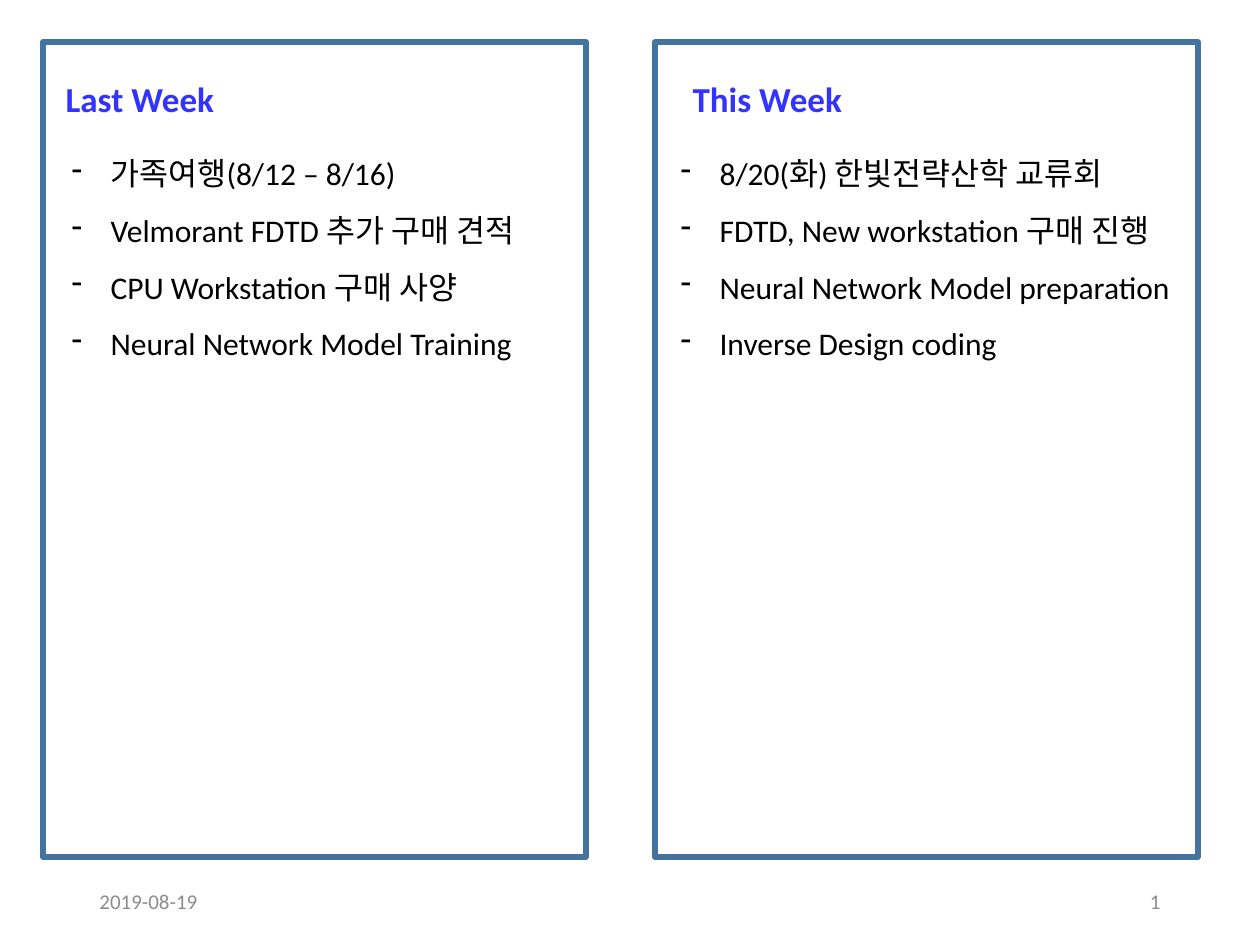
"""Build the weekly report slide with last week's and this week's work side by side."""
from lxml import etree
from pptx import Presentation
from pptx.dml.color import RGBColor
from pptx.enum.shapes import MSO_SHAPE
from pptx.enum.text import MSO_ANCHOR, MSO_AUTO_SIZE, PP_ALIGN
from pptx.oxml.ns import qn
from pptx.util import Emu, Pt

RECTANGLE = MSO_SHAPE.RECTANGLE
TOP, MIDDLE = MSO_ANCHOR.TOP, MSO_ANCHOR.MIDDLE
LEFT, RIGHT = PP_ALIGN.LEFT, PP_ALIGN.RIGHT
NO_AUTOFIT = MSO_AUTO_SIZE.NONE

EMU_PER_PX = 914400 / 126
FONT = "Calibri"
COLORS = {"heading": "3333FF", "body": "000000", "footer": "8C8C8C", "frame": "43739E"}
COMPARISON_LAYOUT = 4
INDENT = 39

LAST_WEEK = [
    "가족여행(8/12 – 8/16)",
    "Velmorant FDTD 추가 구매 견적",
    "CPU Workstation 구매 사양",
    "Neural Network Model Training",
]
THIS_WEEK = [
    "8/20(화) 한빛전략산학 교류회",
    "FDTD, New workstation 구매 진행",
    "Neural Network Model preparation",
    "Inverse Design coding",
]


def px(length):
    """Turn a length in px into EMU."""
    return Emu(round(length * EMU_PER_PX))


def place(shape, left, top, width, height):
    """Move and size a shape, in px."""
    shape.left, shape.top = px(left), px(top)
    shape.width, shape.height = px(width), px(height)


def add_dash(paragraph):
    """Give a paragraph a hanging dash bullet."""
    properties = paragraph._p.get_or_add_pPr()
    properties.set("marL", str(px(INDENT)))
    properties.set("indent", str(-px(INDENT)))
    etree.SubElement(properties, qn("a:buFontTx"))
    etree.SubElement(properties, qn("a:buChar")).set("char", "-")


def write_text(shape, lines, *, size, color, bold=False, align=LEFT,
               anchor=TOP, spacing=1.0, dashed=False):
    """Fill a shape with formatted paragraphs."""
    frame = shape.text_frame
    frame.word_wrap = True
    frame.auto_size = NO_AUTOFIT
    frame.vertical_anchor = anchor
    frame.text = "\n".join(lines)
    for paragraph in frame.paragraphs:
        paragraph.alignment = align
        paragraph.line_spacing = spacing
        paragraph.space_before = Pt(0)
        if dashed:
            add_dash(paragraph)
        for run in paragraph.runs:
            run.font.name = FONT
            run.font.size = Pt(size)
            run.font.bold = bold
            run.font.color.rgb = RGBColor.from_string(COLORS[color])


def add_heading(placeholder, text, left):
    """Set the heading of one week."""
    place(placeholder, left, 71, 176, 55)
    write_text(placeholder, [text], size=20, color="heading", bold=True)


def add_list(placeholder, items, left, width):
    """Set the dashed list of one week."""
    place(placeholder, left, 129, width, 242)
    write_text(placeholder, items, size=18, color="body", spacing=1.5, dashed=True)


def add_frame(slide, left):
    """Draw the outline around one week."""
    shape = slide.shapes.add_shape(RECTANGLE, px(left), px(42), px(543), px(815))
    shape.shadow.inherit = False
    shape.fill.background()
    shape.line.color.rgb = RGBColor.from_string(COLORS["frame"])
    shape.line.width = Pt(3)


def add_footer(slide, text, left, align):
    """Add a grey line of text at the foot of the slide."""
    shape = slide.shapes.add_textbox(px(left), px(876), px(284), px(50))
    write_text(shape, [text], size=12, color="footer", align=align, anchor=MIDDLE)


def main():
    """Build and save the slide."""
    presentation = Presentation()
    presentation.slide_width, presentation.slide_height = px(1260), px(945)
    slide = presentation.slides.add_slide(presentation.slide_layouts[COMPARISON_LAYOUT])
    title, last_heading, last_list, this_heading, this_list = slide.placeholders
    title.element.getparent().remove(title.element)

    add_heading(last_heading, "Last Week", 53)
    add_list(last_list, LAST_WEEK, 59, 528)
    add_heading(this_heading, "This Week", 680)
    add_list(this_list, THIS_WEEK, 668, 518)
    for left in (43, 655):
        add_frame(slide, left)
    add_footer(slide, "2019-08-19", 87, LEFT)
    add_footer(slide, "1", 889, RIGHT)
    presentation.save("out.pptx")


if __name__ == "__main__":
    main()
